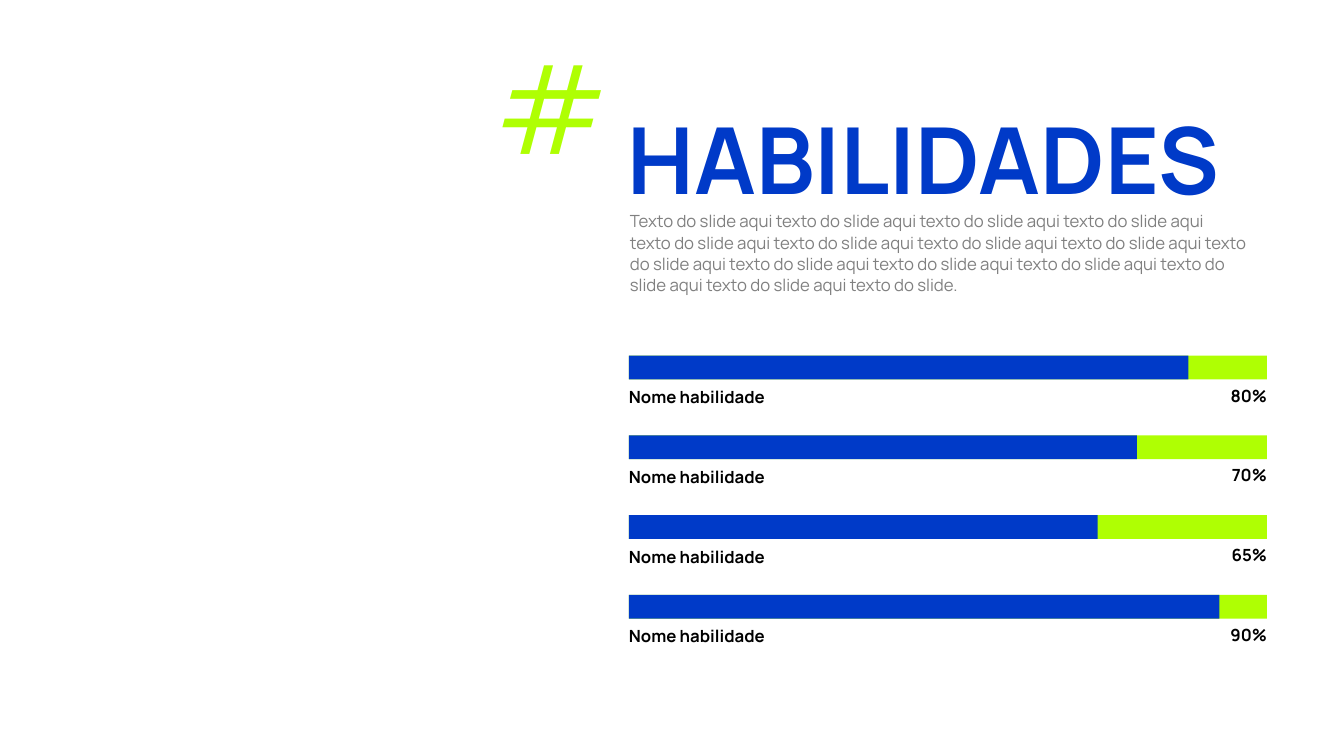
from lxml import etree
from pptx import Presentation
from pptx.dml.color import RGBColor
from pptx.enum.shapes import MSO_SHAPE as Preset
from pptx.enum.text import MSO_ANCHOR as Anchor, MSO_AUTO_SIZE as AutoSize, PP_ALIGN as Align
from pptx.oxml.ns import qn
from pptx.util import Cm, Pt

BLUE = RGBColor(0x00, 0x3A, 0xC8)
LIME = RGBColor(0xAF, 0xFF, 0x03)
GREY = RGBColor(0x80, 0x80, 0x80)
BLACK = RGBColor(0x00, 0x00, 0x00)
FONT = "Manrope"

INTRO = "Texto do slide aqui " + "texto do slide aqui " * 13 + "texto do slide."
# Skill name, level shown, length of the blue bar in cm
SKILLS = [
    ("Nome habilidade", "80%", 14.1),
    ("Nome habilidade", "70%", 12.8),
    ("Nome habilidade", "65%", 11.81),
    ("Nome habilidade", "90%", 14.88),
]


def place(shape, left, top, width, height):
    shape.left, shape.top = Cm(left), Cm(top)
    shape.width, shape.height = Cm(width), Cm(height)


def write(frame, text, size, color, bold=False, align=Align.LEFT):
    frame.word_wrap = True
    frame.auto_size = AutoSize.NONE
    frame.vertical_anchor = Anchor.TOP
    paragraph = frame.paragraphs[0]
    paragraph.alignment = align
    paragraph.space_before = Pt(0)
    run = paragraph.add_run()
    run.text = text
    run.font.name, run.font.size = FONT, Pt(size)
    run.font.bold = bold
    run.font.color.rgb = color
    return paragraph


def add_label(slide, left, top, width, text, align):
    label = slide.shapes.add_textbox(Cm(left), Cm(top), Cm(width), Cm(0.51))
    frame = label.text_frame
    frame.margin_left = frame.margin_right = frame.margin_top = frame.margin_bottom = 0
    write(frame, text, 12, BLACK, True, align)


def add_bar(slide, left, top, width, height, color):
    bar = slide.shapes.add_shape(Preset.RECTANGLE, Cm(left), Cm(top), Cm(width), Cm(height))
    bar.shadow.inherit = False
    bar.fill.solid()
    bar.fill.fore_color.rgb = color
    bar.line.fill.background()


def add_heading(slide, left, top, width):
    # Title
    title = slide.shapes.title
    place(title, left, top, width, 2.74)
    write(title.text_frame, "HABILIDADES", 66, BLUE, True).line_spacing = Pt(70)

    # Introduction
    intro = slide.placeholders[1]
    place(intro, left + 0.05, top + 2.39, 16.08, 2.67)
    paragraph = intro.text_frame.paragraphs[0]
    properties = paragraph._p.get_or_add_pPr()
    properties.set("marL", "0")
    properties.set("indent", "0")
    etree.SubElement(properties, qn("a:buNone"))
    write(intro.text_frame, INTRO, 12, GREY).line_spacing = 1.06

    # Hash sign
    hash_sign = slide.shapes.add_textbox(Cm(left - 5.26), Cm(top - 2.11), Cm(7.19), Cm(4.01))
    write(hash_sign.text_frame, "#", 88, LIME, align=Align.CENTER)


def add_skills(slide, left, top, width, height):
    pitch = height / len(SKILLS)
    level_width = 1.7
    for index, (name, level, length) in enumerate(SKILLS):
        row_top = top + index * pitch
        add_bar(slide, left, row_top, width, 0.6, LIME)
        add_bar(slide, left, row_top, length, 0.6, BLUE)
        add_label(slide, left, row_top + 0.79, 5.64, name, Align.LEFT)
        add_label(slide, left + width - level_width, row_top + 0.75, level_width, level, Align.RIGHT)


def main():
    deck = Presentation()
    deck.slide_width, deck.slide_height = Cm(33.87), Cm(19.05)
    slide = deck.slides.add_slide(deck.slide_layouts[1])
    add_heading(slide, 15.57, 2.77, 16.59)
    add_skills(slide, 15.85, 8.96, 16.08, 8.04)
    deck.save("out.pptx")


if __name__ == "__main__":
    main()
